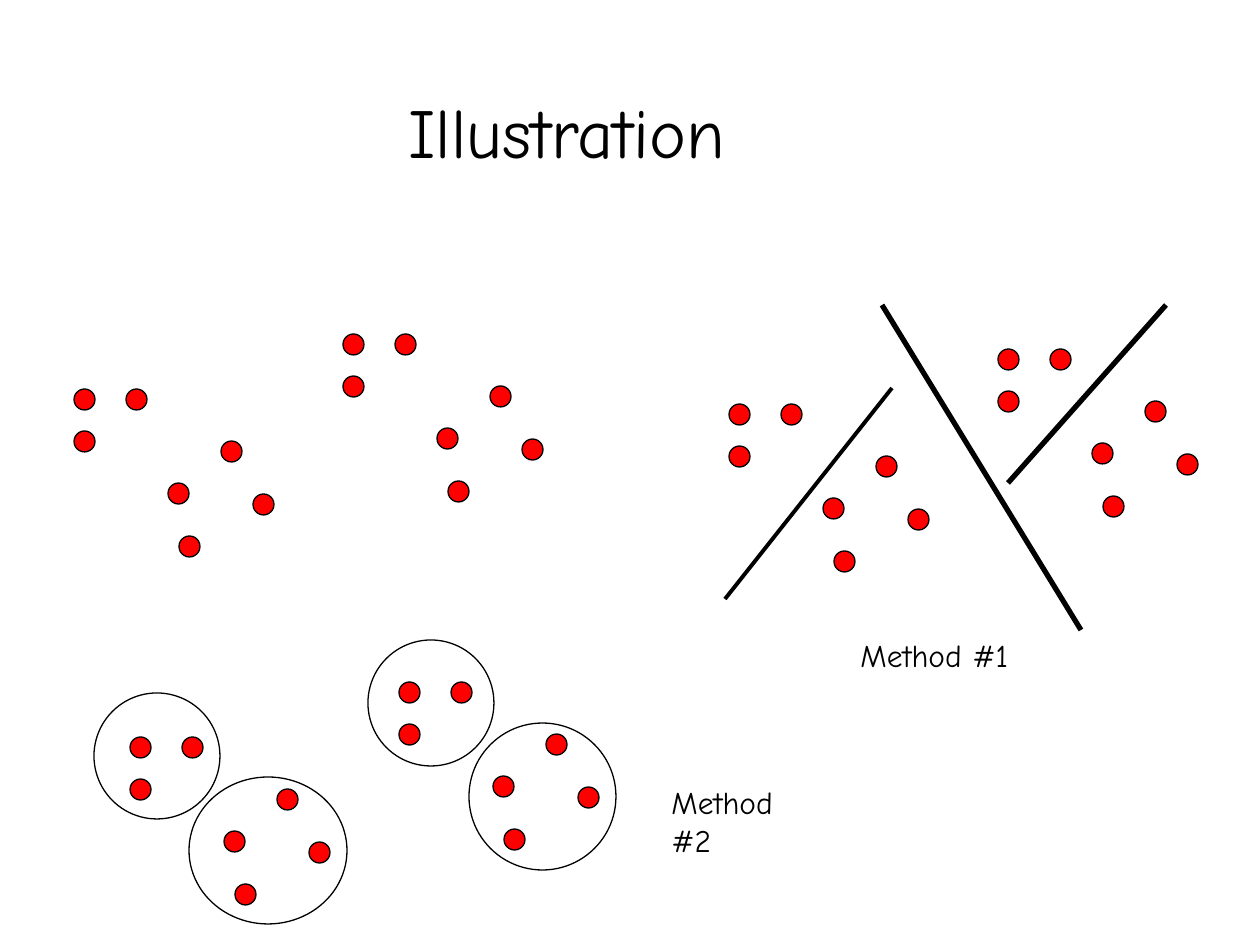
import pptx
import pptx.util
import pptx.dml.color
import pptx.enum.shapes
import pptx.enum.text
import pptx.oxml.ns
import lxml.etree

BLACK = pptx.dml.color.RGBColor(0, 0, 0)
RED = pptx.dml.color.RGBColor(255, 0, 0)
FONT = "Comic Neue"
SCALE = 914400 / 126  # EMU in one px
DOT = 21
# Seven dots make one cluster pair; each set shows it twice
DOTS = [(0, 0), (0, 42), (147, 52), (105, 147), (179, 105), (94, 94), (52, 0)]
SHIFT = (-269, 55)


def px(*nums):
    return [pptx.util.Emu(round(n * SCALE)) for n in nums]


def ring(group, box, fill=None):
    oval = group.shapes.add_shape(pptx.enum.shapes.MSO_SHAPE.OVAL, *px(*box))
    oval.shadow.inherit = False
    if fill is None:
        oval.fill.background()
    else:
        oval.fill.solid()
        oval.fill.fore_color.rgb = fill
    oval.line.color.rgb = BLACK
    oval.line.width = pptx.util.Pt(0.75)


deck = pptx.Presentation()
deck.slide_width, deck.slide_height = px(1260, 945)
slide = deck.slides.add_slide(deck.slide_layouts[5])

# Title
title = slide.shapes.title
title.left, title.top, title.width, title.height = px(94, 84, 946, 95)
frame = title.text_frame
frame.auto_size = pptx.enum.text.MSO_AUTO_SIZE.NONE
frame.vertical_anchor = pptx.enum.text.MSO_ANCHOR.BOTTOM
para = frame.paragraphs[0]
para.alignment = pptx.enum.text.PP_ALIGN.CENTER
run = para.add_run()
run.text = "Illustration"
run.font.name = FONT
run.font.size = pptx.util.Pt(40)
run.font.color.rgb = BLACK

# Point sets: plain, split by lines, circled
groups = []
for left, top in [(343, 334), (998, 349), (399, 682)]:
    group = slide.shapes.add_group_shape()
    for dx, dy in [(0, 0), SHIFT]:
        for x, y in DOTS:
            ring(group, (left + dx + x, top + dy + y, DOT, DOT), RED)
    groups.append(group)

# Circles of method 2
for box in [(94, 693, 126, 126), (189, 777, 158, 147),
            (368, 640, 126, 126), (469, 723, 147, 147)]:
    ring(groups[2], box)

# Dividing lines of method 1
for ends, width in [((882, 305, 1081, 630), 3),
                    ((892, 388, 725, 599), 2.25),
                    ((1166, 305, 1008, 483), 3)]:
    line = slide.shapes.add_connector(
        pptx.enum.shapes.MSO_CONNECTOR.STRAIGHT, *px(*ends))
    line.line.color.rgb = BLACK
    line.line.width = pptx.util.Pt(width)
    lxml.etree.SubElement(line._element.spPr, pptx.oxml.ns.qn("a:effectLst"))

# Method labels
for text, box in [("Method #1", (848, 630, 173, 50)),
                  ("Method #2", (659, 777, 176, 50))]:
    label = slide.shapes.add_textbox(*px(*box))
    label.text_frame.word_wrap = False
    label.text_frame.auto_size = pptx.enum.text.MSO_AUTO_SIZE.SHAPE_TO_FIT_TEXT
    run = label.text_frame.paragraphs[0].add_run()
    run.text = text
    run.font.name = FONT
    run.font.size = pptx.util.Pt(18)
    run.font.color.rgb = BLACK

deck.save("out.pptx")
